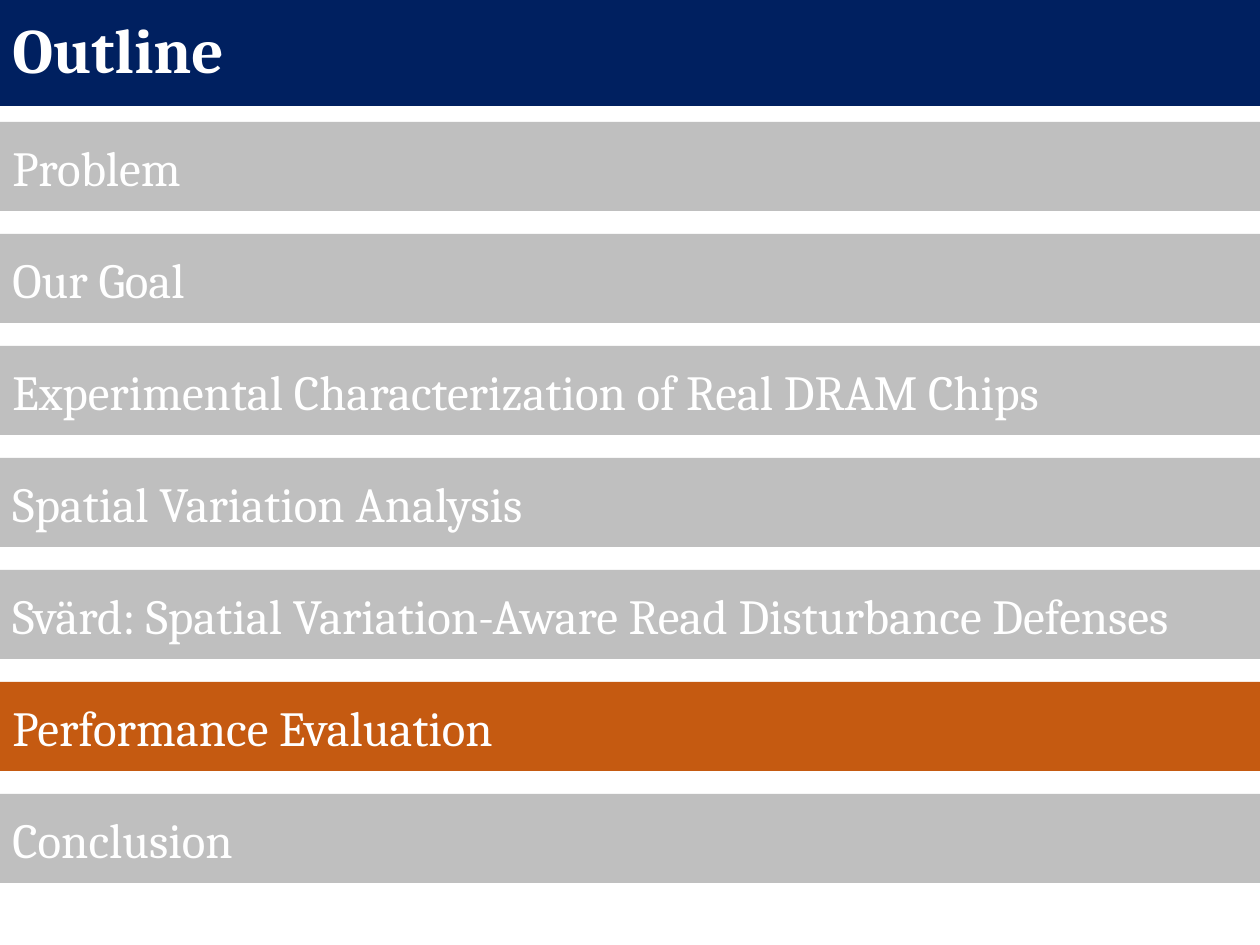
from pptx import Presentation
from pptx.dml.color import RGBColor as RGB
from pptx.enum.shapes import MSO_SHAPE as Shape
from pptx.enum.text import MSO_ANCHOR as Anchor, PP_ALIGN as Align
from pptx.util import Pt

COLORS = {"title": "002060", "topic": "BFBFBF", "active": "C55A11", "text": "FFFFFF"}
TOPICS = [
    "Problem",
    "Our Goal",
    "Experimental Characterization of Real DRAM Chips",
    "Spatial Variation Analysis",
    "Svärd: Spatial Variation-Aware Read Disturbance Defenses",
    "Performance Evaluation",
    "Conclusion",
]
ACTIVE = "Performance Evaluation"
WIDTH, HEIGHT = 1260, 945
FIRST, STEP, BAR = 122, 112, 89


def px(n):
    return n * 914400 // 126


def add_bar(slide, text, top, height, color, size):
    bar = slide.shapes.add_shape(Shape.RECTANGLE, 0, px(top), px(WIDTH), px(height))
    bar.shadow.inherit = False
    bar.fill.solid()
    bar.fill.fore_color.rgb = RGB.from_string(COLORS[color])
    bar.line.fill.background()
    frame = bar.text_frame
    frame.word_wrap = True
    frame.vertical_anchor = Anchor.MIDDLE
    para = frame.paragraphs[0]
    para.text = text
    para.alignment = Align.LEFT
    para.font.name = "Cambria"
    para.font.size = Pt(size)
    para.font.color.rgb = RGB.from_string(COLORS["text"])
    return para


def add_title(slide, text):
    para = add_bar(slide, text, 0, 106, "title", 36)
    para.font.bold = True
    para.line_spacing = 0.9


def add_topics(slide):
    for row, topic in enumerate(TOPICS):
        color = "active" if topic == ACTIVE else "topic"
        add_bar(slide, topic, FIRST + row * STEP, BAR, color, 28)


def main():
    """Build the outline slide with its current topic highlighted."""
    deck = Presentation()
    deck.slide_width, deck.slide_height = px(WIDTH), px(HEIGHT)
    slide = deck.slides.add_slide(deck.slide_layouts[6])
    add_title(slide, "Outline")
    add_topics(slide)
    deck.save("out.pptx")


if __name__ == "__main__":
    main()
